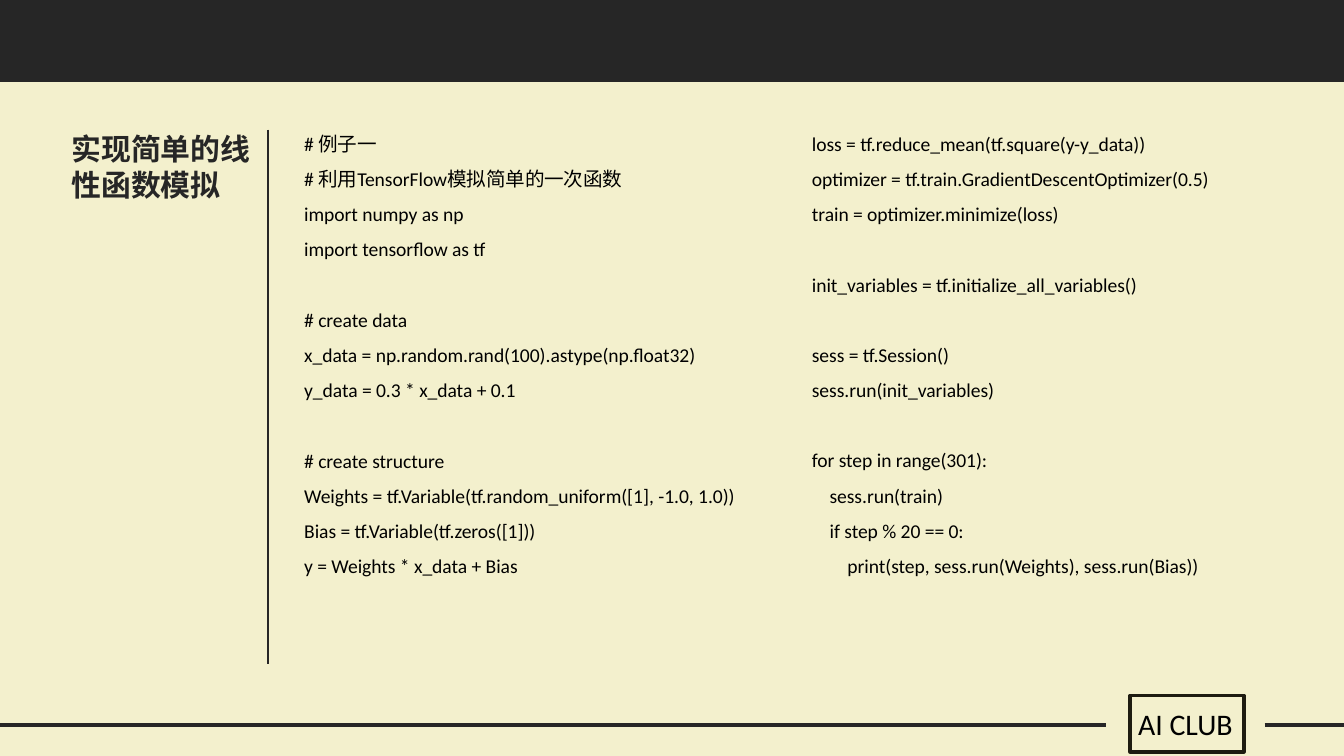
import collections

import lxml.etree
import pptx
import pptx.dml.color
import pptx.enum.shapes
import pptx.enum.text
import pptx.oxml.ns
import pptx.util

CELL = 0.1
COLUMNS, ROWS = 100, 56.25
DARK, BLACK, CREAM, OLIVE = "262626", "000000", "F3F0CD", "1E1C11"
LATIN, CHINESE = "Calibri", "Noto Sans CJK SC"
CODE_SIZE, CODE_PITCH = 10.5, 18.8
INDENT = 1.32

Box = collections.namedtuple("Box", "left top width height")

MODEL_CODE = [
    ["# 例子一", "# 利用TensorFlow模拟简单的一次函数",
     "import numpy as np", "import tensorflow as tf"],
    ["# create data", "x_data = np.random.rand(100).astype(np.float32)",
     "y_data = 0.3 * x_data + 0.1"],
    ["# create structure", "Weights = tf.Variable(tf.random_uniform([1], -1.0, 1.0))",
     "Bias = tf.Variable(tf.zeros([1]))", "y = Weights * x_data + Bias"],
]
TRAINING_CODE = [
    ["loss = tf.reduce_mean(tf.square(y-y_data))",
     "optimizer = tf.train.GradientDescentOptimizer(0.5)",
     "train = optimizer.minimize(loss)"],
    ["init_variables = tf.initialize_all_variables()"],
    ["sess = tf.Session()", "sess.run(init_variables)"],
    ["for step in range(301):", "\tsess.run(train)", "\tif step % 20 == 0:",
     "\t\tprint(step, sess.run(Weights), sess.run(Bias))"],
]


def cells(count):
    """Convert grid cells to a length."""
    return pptx.util.Inches(count * CELL)


def color(value):
    """Convert a hex string to a colour."""
    return pptx.dml.color.RGBColor.from_string(value)


def add_line(shapes, start, end, width):
    """Add a dark straight line between two grid points."""
    line = shapes.add_connector(pptx.enum.shapes.MSO_CONNECTOR.STRAIGHT,
                                *map(cells, (*start, *end)))
    line.line.color.rgb = color(DARK)
    line.line.width = pptx.util.Pt(width)
    lxml.etree.SubElement(line._element.spPr, pptx.oxml.ns.qn("a:effectLst"))


def add_rectangle(shapes, box, fill=None, outline=None):
    """Add a rectangle that is either filled or outlined."""
    shape = shapes.add_shape(pptx.enum.shapes.MSO_SHAPE.RECTANGLE, *map(cells, box))
    shape.shadow.inherit = False
    if fill:
        shape.fill.solid()
        shape.fill.fore_color.rgb = color(fill)
    else:
        shape.fill.background()
    if outline:
        shape.line.color.rgb = color(outline)
        shape.line.width = pptx.util.Pt(2)
    else:
        shape.line.fill.background()


def add_text_frame(slide, box, wrap=True):
    """Add a text box and return its frame."""
    frame = slide.shapes.add_textbox(*map(cells, box)).text_frame
    frame.word_wrap = wrap
    frame.auto_size = pptx.enum.text.MSO_AUTO_SIZE.SHAPE_TO_FIT_TEXT
    return frame


def add_run(paragraph, text, size, latin=LATIN, ink=BLACK, bold=False):
    """Add a run with its Latin and Chinese fonts."""
    run = paragraph.add_run()
    run.text = text
    run.font.size = pptx.util.Pt(size)
    run.font.name = latin
    run.font.bold = bold
    run.font.color.rgb = color(ink)
    east_asian = lxml.etree.SubElement(run.font._element, pptx.oxml.ns.qn("a:ea"))
    east_asian.set("typeface", CHINESE)


def add_frame(slide, box, header_height, footer_row, gap):
    """Add the header band and the footer rule, which leaves a gap for the badge."""
    shapes = slide.shapes.add_group_shape().shapes
    add_rectangle(shapes, Box(box.left, box.top, box.width, header_height), fill=DARK)
    right = box.left + box.width
    for start, end in ((box.left, gap[0]), (gap[1], right)):
        add_line(shapes, (start, footer_row), (end, footer_row), 1.75)


def add_badge(slide, box):
    """Add the outlined club badge."""
    add_rectangle(slide.shapes, box, outline=OLIVE)
    label = Box(box.left - 0.4, box.top + 0.3, box.width + 0.6, box.height - 0.5)
    add_run(add_text_frame(slide, label, wrap=False).paragraphs[0], "AI CLUB", 16)


def add_title(slide, box):
    """Add the title and the rule along its right edge."""
    right = box.left + box.width
    add_line(slide.shapes, (right, box.top), (right, box.top + box.height), 1.25)
    frame = add_text_frame(slide, Box(box.left, box.top - 0.4, box.width - 0.1, 6.4))
    add_run(frame.paragraphs[0], "实现简单的线性函数模拟", 16, CHINESE, DARK, True)


def add_code(slide, box, blocks):
    """Add blocks of code set one line apart, with tabs as indents."""
    frame = add_text_frame(slide, box)
    paragraph = frame.paragraphs[0]
    for block_number, block in enumerate(blocks):
        for line_number, line in enumerate(block):
            if block_number or line_number:
                paragraph = frame.add_paragraph()
            paragraph.line_spacing = 1.5
            if block_number and not line_number:
                paragraph.space_before = pptx.util.Pt(CODE_PITCH)
            text = line.lstrip("\t")
            depth = len(line) - len(text)
            if depth:
                paragraph._p.get_or_add_pPr().set("marL", str(cells(depth * INDENT)))
            add_run(paragraph, text, CODE_SIZE)


def main():
    """Build and save the slide."""
    presentation = pptx.Presentation()
    presentation.slide_width = cells(COLUMNS)
    presentation.slide_height = cells(ROWS)
    slide = presentation.slides.add_slide(presentation.slide_layouts[6])
    slide.background.fill.solid()
    slide.background.fill.fore_color.rgb = color(CREAM)
    add_frame(slide, Box(0, 0, COLUMNS, ROWS), 6.1, 53.94, (82.3, 94.1))
    add_title(slide, Box(4.35, 9.65, 15.6, 39.75))
    add_badge(slide, Box(84.1, 51.75, 8.45, 4.2))
    for left, height, blocks in ((21.65, 42.2, MODEL_CODE), (59.42, 35.2, TRAINING_CODE)):
        add_code(slide, Box(left, 8.43, 39.5, height), blocks)
    presentation.save("out.pptx")


if __name__ == "__main__":
    main()
